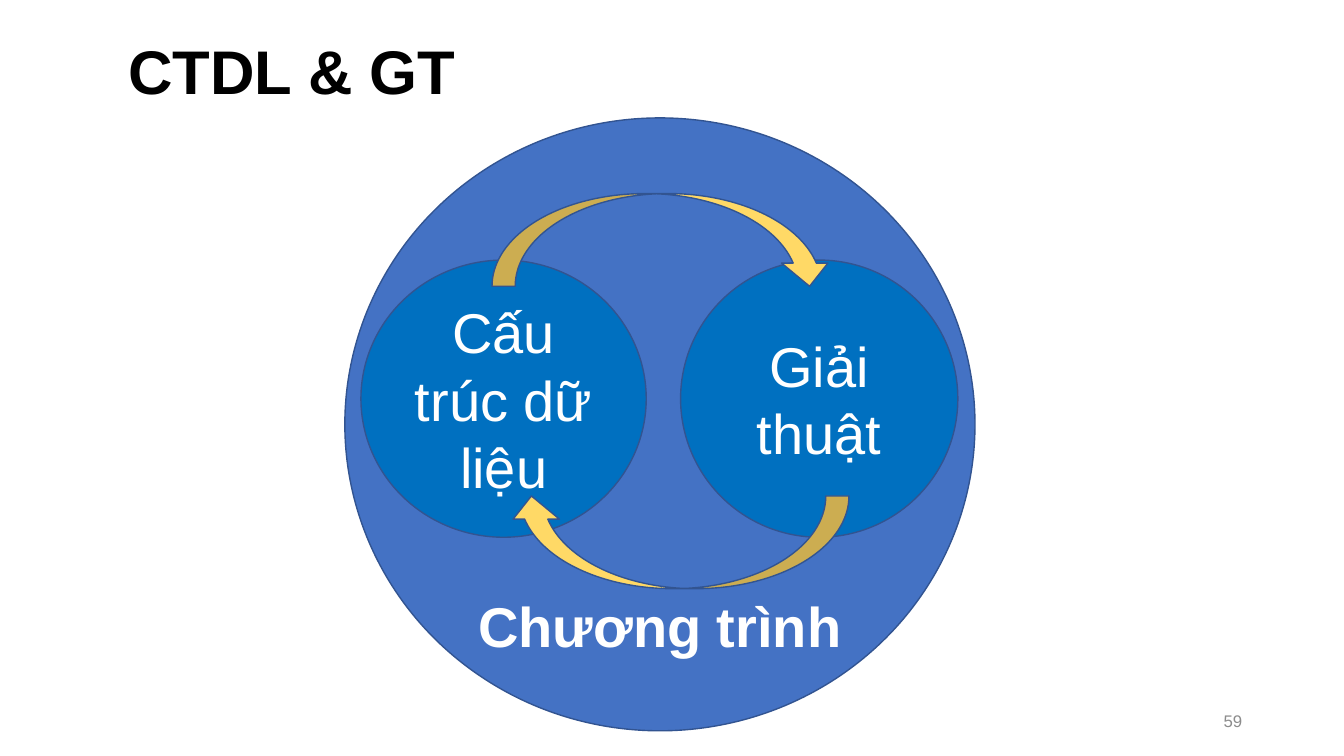
import pptx
import pptx.util
import pptx.dml.color
import pptx.enum.shapes
import pptx.enum.text

Inches = pptx.util.Inches
Pt = pptx.util.Pt
Shape = pptx.enum.shapes.MSO_SHAPE
Align = pptx.enum.text.PP_ALIGN
Anchor = pptx.enum.text.MSO_ANCHOR

COLOURS = {
    "title": "000000",
    "number": "8C8C8C",
    "program": "4472C4",
    "part": "0070C0",
    "arrow": "FFD966",
    "outline": "325491",
    "label": "FFFFFF",
}
FONT = "Arial"


def colour(name):
    return pptx.dml.color.RGBColor.from_string(COLOURS[name])


def write(box, text, size, colour_name, align, bold=False, anchor=Anchor.MIDDLE):
    frame = box.text_frame
    frame.word_wrap = True
    frame.auto_size = pptx.enum.text.MSO_AUTO_SIZE.NONE
    frame.vertical_anchor = anchor
    para = frame.paragraphs[0]
    para.alignment = align
    span = para.add_run()
    span.text = text
    span.font.name = FONT
    span.font.size = Pt(size)
    span.font.bold = bold
    span.font.color.rgb = colour(colour_name)
    return para


def add_outlined(page, kind, left, top, width, height, fill):
    shape = page.shapes.add_shape(
        kind, Inches(left), Inches(top), Inches(width), Inches(height))
    shape.shadow.inherit = False
    shape.fill.solid()
    shape.fill.fore_color.rgb = colour(fill)
    shape.line.color.rgb = colour("outline")
    shape.line.width = Pt(1)
    return shape


def add_title(page, left, top, width, height):
    title = page.shapes.title
    title.left, title.top = Inches(left), Inches(top)
    title.width, title.height = Inches(width), Inches(height)
    para = write(title, "CTDL & GT", 44, "title", Align.LEFT, bold=True)
    para.line_spacing = 0.9


def add_page_number(page, left, top, width, height):
    box = page.shapes.add_textbox(
        Inches(left), Inches(top), Inches(width), Inches(height))
    write(box, "59", 12, "number", Align.RIGHT)


def add_program_diagram(page, left, top, width, height):
    """Draw the program circle with its two parts and the cycle between them."""
    program = add_outlined(page, Shape.OVAL, left, top, width, height, "program")
    write(program, "Chương trình", 40, "label", Align.CENTER, bold=True,
          anchor=Anchor.BOTTOM)
    # The label sits lower than the text area of the ellipse
    program.text_frame.margin_bottom = Inches(-0.18)

    for text, offset, part_width in (("Cấu trúc dữ liệu", 0.16, 2.83),
                                     ("Giải thuật", 3.33, 2.75)):
        part = add_outlined(page, Shape.OVAL, left + offset, top + 1.41,
                            part_width, 2.75, "part")
        write(part, text, 40, "label", Align.CENTER)

    for across, down, rotation in ((1.46, 0.75, 0), (1.62, 3.75, 180)):
        arrow = add_outlined(page, Shape.CURVED_DOWN_ARROW, left + across,
                             top + down, 3.38, 0.92, "arrow")
        arrow.rotation = rotation


def main():
    deck = pptx.Presentation()
    deck.slide_width, deck.slide_height = Inches(13.33), Inches(7.5)
    page = deck.slides.add_slide(deck.slide_layouts.get_by_name("Title Only"))
    add_title(page, 1.17, 0.3, 11.25, 0.87)
    add_page_number(page, 9.42, 6.95, 3, 0.4)
    add_program_diagram(page, 3.42, 1.17, 6.25, 6.08)
    deck.save("out.pptx")


if __name__ == "__main__":
    main()
